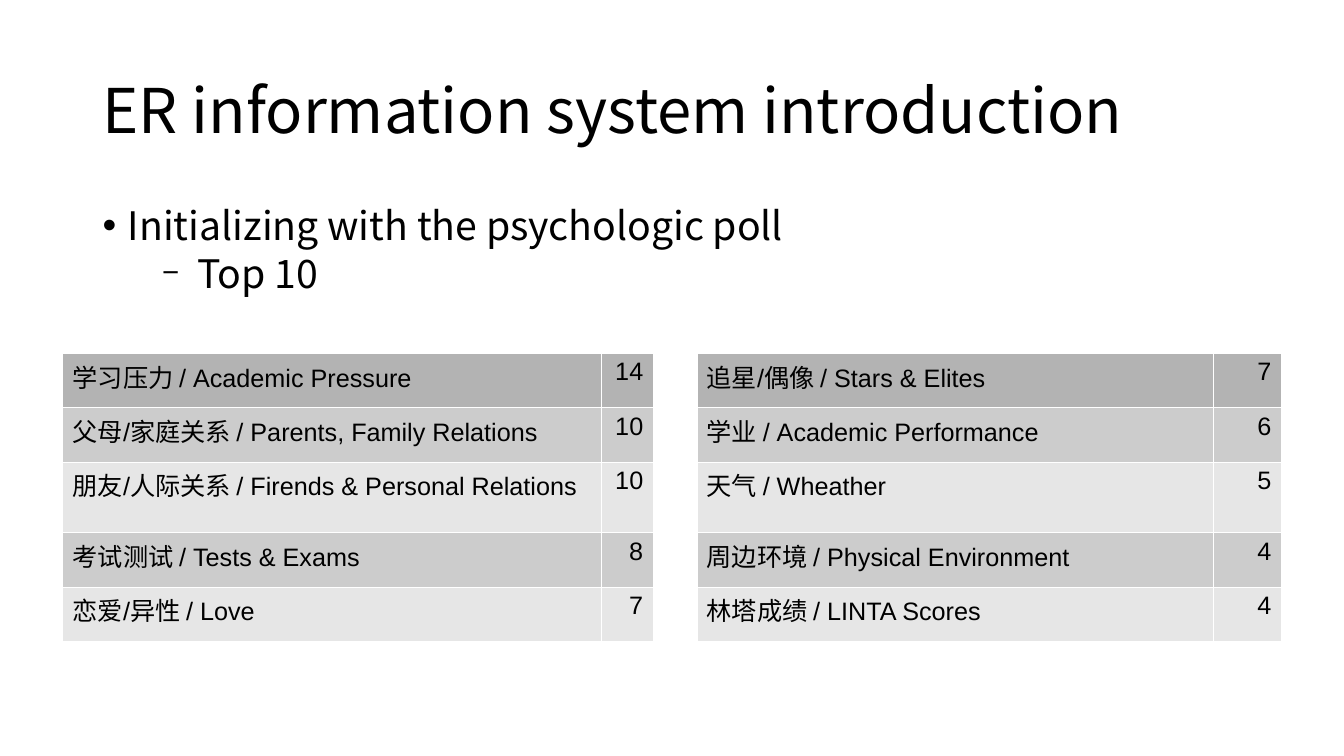
from lxml import etree
from pptx import Presentation
from pptx import util as u
from pptx.dml.color import RGBColor
from pptx.enum import text
from pptx.oxml.ns import qn

COLORS = {"ink": "000000", "border": "FFFFFF", "header": "B3B3B3",
          "dark": "CCCCCC", "light": "E6E6E6"}
HEADING_FONT = "Noto Sans CJK SC"
TABLE_FONT = "Arial"
INSETS = {"margin_left": u.Inches(0.1), "margin_right": u.Inches(0.1),
          "margin_top": u.Inches(0.05), "margin_bottom": u.Inches(0.05)}

POLL = [
    ("学习压力 / Academic Pressure", "14", "追星/偶像 / Stars & Elites", "7"),
    ("父母/家庭关系 / Parents, Family Relations", "10", "学业 / Academic Performance", "6"),
    ("朋友/人际关系 / Firends & Personal Relations", "10", "天气 / Wheather", "5"),
    ("考试测试 / Tests & Exams", "8", "周边环境 / Physical Environment", "4"),
    ("恋爱/异性 / Love", "7", "林塔成绩 / LINTA Scores", "4"),
]
COLUMN_WIDTHS = [5.34, 0.52, 0.43, 5.12, 0.68]
ROW_HEIGHTS = [0.54, 0.54, 0.59, 0.54, 0.54]
ROW_FILLS = ["header", "dark", "light", "dark", "light"]
POINTS = [
    {"wording": "Initializing with the psychologic poll", "level": 0, "spacing": 0.9,
     "margin": 0.25, "indent": -0.25, "bullet": "•", "scale": 100},
    {"wording": "Top 10", "level": 1, "spacing": 1.0,
     "margin": 0.94, "indent": -0.35, "bullet": "−", "scale": 75},
]


def apply(target, values):
    for name, value in values.items():
        setattr(target, name, value)


def write(paragraph, wording, size, font_name):
    run = paragraph.add_run()
    run.text = wording
    run.font.color.rgb = RGBColor.from_string(COLORS["ink"])
    apply(run.font, {"size": u.Pt(size), "name": font_name})
    east_asian = etree.SubElement(run.font._element, qn("a:ea"))
    east_asian.set("typeface", HEADING_FONT)


def add_color(parent, color):
    etree.SubElement(parent, qn("a:srgbClr")).set("val", COLORS[color])


def add_frame(slide, box, anchor):
    frame = slide.shapes.add_textbox(*map(u.Inches, box)).text_frame
    apply(frame, {**INSETS, "word_wrap": True, "vertical_anchor": anchor})
    return frame


def add_title(slide, box):
    heading = add_frame(slide, box, text.MSO_ANCHOR.MIDDLE).paragraphs[0]
    heading.line_spacing = 0.9
    write(heading, "ER information system introduction", 44, HEADING_FONT)


def add_bullet(paragraph, point):
    properties = paragraph._p.get_or_add_pPr()
    properties.set("marL", str(u.Inches(point["margin"])))
    properties.set("indent", str(u.Inches(point["indent"])))
    add_color(etree.SubElement(properties, qn("a:buClr")), "ink")
    for tag, key, value in (("a:buSzPct", "val", str(point["scale"] * 1000)),
                            ("a:buFont", "typeface", TABLE_FONT),
                            ("a:buChar", "char", point["bullet"])):
        etree.SubElement(properties, qn(tag)).set(key, value)


def add_points(slide, box):
    frame = add_frame(slide, box, text.MSO_ANCHOR.TOP)
    for index, point in enumerate(POINTS):
        paragraph = frame.add_paragraph() if index else frame.paragraphs[0]
        apply(paragraph, {"level": point["level"], "line_spacing": point["spacing"]})
        add_bullet(paragraph, point)
        write(paragraph, point["wording"], 28, HEADING_FONT)


def add_borders(cell):
    properties = cell._tc.get_or_add_tcPr()
    for position, side in enumerate(("a:lnL", "a:lnR", "a:lnT", "a:lnB")):
        line = etree.Element(qn(side), w=str(u.Pt(0.06)))
        add_color(etree.SubElement(line, qn("a:solidFill")), "border")
        properties.insert(position, line)


def add_poll_table(slide, box):
    table = slide.shapes.add_table(
        len(ROW_HEIGHTS), len(COLUMN_WIDTHS), *map(u.Inches, box)).table
    apply(table, {"first_row": False, "horz_banding": False})
    for column, width in zip(table.columns, COLUMN_WIDTHS):
        column.width = u.Inches(width)
    for row, height, fill, (left, left_votes, right, right_votes) in zip(
            table.rows, ROW_HEIGHTS, ROW_FILLS, POLL):
        row.height = u.Inches(height)
        entries = (left, left_votes, None, right, right_votes)
        for cell, entry in zip(row.cells, entries):
            apply(cell, INSETS)
            add_borders(cell)
            if entry is None:
                cell.fill.background()
                continue
            cell.fill.solid()
            cell.fill.fore_color.rgb = RGBColor.from_string(COLORS[fill])
            paragraph = cell.text_frame.paragraphs[0]
            if entry.isdigit():
                paragraph.alignment = text.PP_ALIGN.RIGHT
            write(paragraph, entry, 18, TABLE_FONT)


def main():
    deck = Presentation()
    apply(deck, {"slide_width": u.Inches(13.33), "slide_height": u.Inches(7.5)})
    slide = deck.slides.add_slide(deck.slide_layouts[6])
    add_title(slide, (0.92, 0.4, 11.5, 1.45))
    add_points(slide, (0.92, 2, 11.5, 4.76))
    add_poll_table(slide, (0.62, 3.5, sum(COLUMN_WIDTHS), sum(ROW_HEIGHTS)))
    deck.save("out.pptx")


if __name__ == "__main__":
    main()
